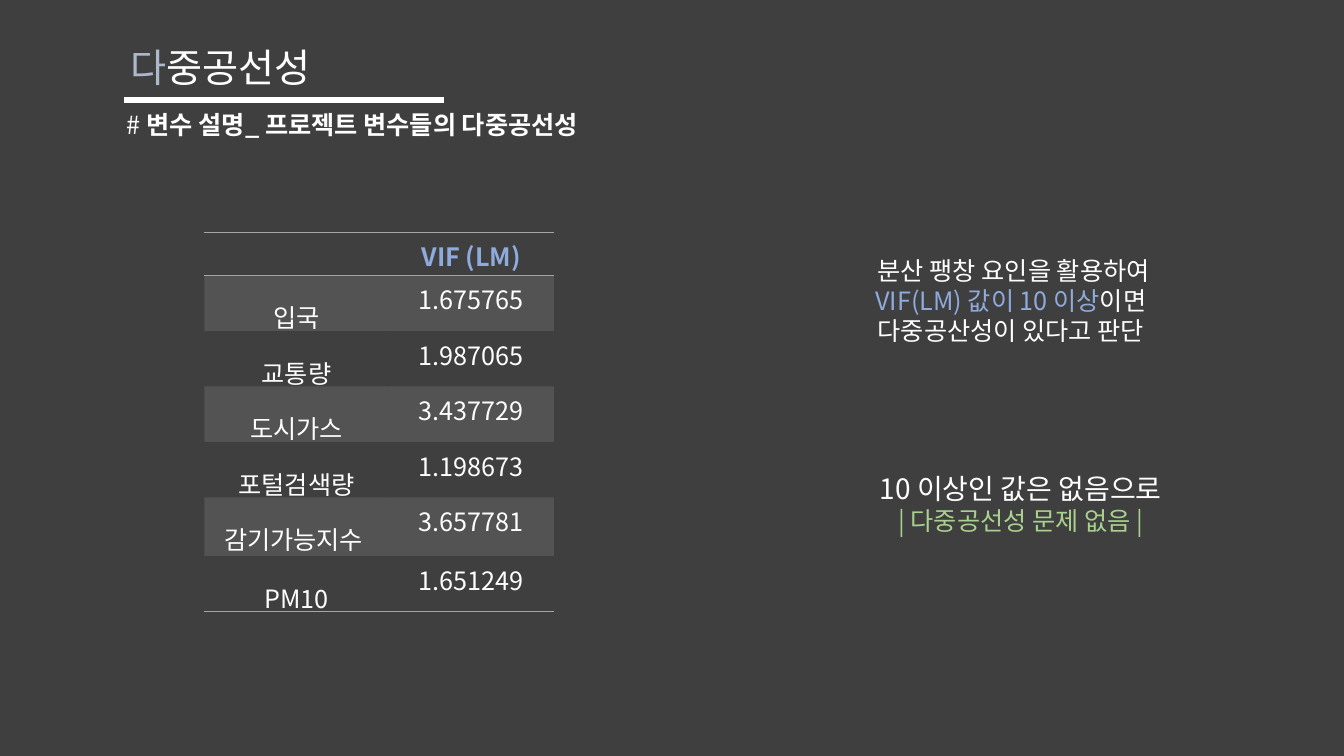
import dataclasses
import pptx
import pptx.dml.color
import pptx.enum.shapes
import pptx.enum.text
import pptx.oxml
import pptx.oxml.ns
import pptx.util

Cm = pptx.util.Cm
Pt = pptx.util.Pt
Align = pptx.enum.text.PP_ALIGN
qn = pptx.oxml.ns.qn


@dataclasses.dataclass(frozen=True)
class Theme:
    font: str = "Noto Sans CJK KR"
    back: str = "3F3F3F"
    white: str = "FFFFFF"
    pale: str = "ADB9CA"
    blue: str = "8FAADC"
    green: str = "A9D18E"
    gray: str = "A5A5A5"
    title: int = 28
    large: int = 20
    body: int = 18


theme = Theme()
NO_STYLE = "{2D5ABB26-0587-4C30-8999-92F81FD0307C}"


def rgb(color):
    return pptx.dml.color.RGBColor.from_string(color)


def element(tag, parent, **attrs):
    node = pptx.oxml.parse_xml(f"<{tag} {pptx.oxml.ns.nsdecls('a')}/>")
    for key, value in attrs.items():
        node.set(key, str(value))
    parent.append(node)
    return node


def add_run(para, text, color=theme.white, size=theme.body, bold=False):
    run = para.add_run()
    run.text = text
    font = run.font
    font.name = theme.font
    font.size = Pt(size)
    font.bold = bold
    font.color.rgb = rgb(color)
    element("a:ea", font._element, typeface=theme.font)


def add_text(slide, box, lines, align):
    shape = slide.shapes.add_textbox(*map(Cm, box))
    frame = shape.text_frame
    frame.word_wrap = True
    frame.auto_size = pptx.enum.text.MSO_AUTO_SIZE.SHAPE_TO_FIT_TEXT
    for row, runs in enumerate(lines):
        para = frame.add_paragraph() if row else frame.paragraphs[0]
        para.alignment = align
        for run in runs:
            add_run(para, *run)


def add_head(slide, box):
    left, top, width, height = box
    add_text(slide, (left + 0.1, top, 9.73, 1.45),
             [[("다", theme.pale, theme.title), ("중공선성", theme.white, theme.title)]],
             Align.JUSTIFY)
    level = Cm(top + 1.55)
    rule = slide.shapes.add_connector(
        pptx.enum.shapes.MSO_CONNECTOR.STRAIGHT,
        Cm(left + 0.18), level, Cm(left + 8.23), level)
    rule.line.color.rgb = rgb(theme.white)
    rule.line.width = Pt(3.75)
    element("a:effectLst", rule._element.spPr)
    add_text(slide, (left, top + 1.67, width, height - 1.67),
             [[("#",), (" 변수 설명_ 프로젝트 변수들의 다중공선성",
                        theme.white, theme.body, True)]],
             Align.LEFT)


def add_edge(cell, side, place):
    props = cell._tc.get_or_add_tcPr()
    line = element("a:ln" + side, props, w=Pt(1))
    fill = element("a:solidFill", line)
    element("a:srgbClr", fill, val=theme.gray)
    props.insert(place, line)


def shade(cell):
    cell.fill.solid()
    cell.fill.fore_color.rgb = rgb(theme.gray)
    color = cell._tc.tcPr.find(".//" + qn("a:srgbClr"))
    element("a:alpha", color, val=20000)


def add_grid(slide, box):
    rows = [
        ("", "VIF (LM)"),
        ("입국", "1.675765"),
        ("교통량", "1.987065"),
        ("도시가스", "3.437729"),
        ("포털검색량", "1.198673"),
        ("감기가능지수 ", "3.657781"),
        ("PM10", "1.651249"),
    ]
    tall = [1.09, 1.4, 1.4, 1.4, 1.4, 1.47, 1.4]
    table = slide.shapes.add_table(len(rows), 2, *map(Cm, box)).table
    table._tbl.tblPr.find(qn("a:tableStyleId")).text = NO_STYLE
    table.first_row = table.horz_banding = False
    for col, share in zip(table.columns, (0.527, 0.473)):
        col.width = Cm(round(box[2] * share, 2))
    for r, texts in enumerate(rows):
        table.rows[r].height = Cm(tall[r])
        for c, text in enumerate(texts):
            cell = table.cell(r, c)
            para = cell.text_frame.paragraphs[0]
            para.alignment = Align.CENTER
            if r and c == 0:
                para.line_spacing = 1.5
            if text:
                add_run(para, text, theme.white if r else theme.blue, bold=r == 0)
            if r % 2:
                shade(cell)
            else:
                cell.fill.background()
            edges = {0: "TB", len(rows) - 1: "B"}.get(r, "")
            for place, side in enumerate(edges):
                add_edge(cell, side, place)


def add_notes(slide, box):
    left, top, width, height = box
    add_text(slide, (left, top, width, 2.57), [
        [(" 분산 팽창 요인을 활용하여 ",)],
        [("VIF(LM) 값이 10 이상", theme.blue), ("이면 ",)],
        [("다중공산성이 있다고 판단 ",)],
    ], Align.CENTER)
    add_text(slide, (left + 0.56, top + height - 1.88, width - 0.76, 1.88), [
        [("10 이상인 값은 없음으로", theme.white, theme.large)],
        [("| 다중공선성 문제 없음 |", theme.green)],
    ], Align.CENTER)


def main():
    deck = pptx.Presentation()
    deck.slide_width = Cm(33.87)
    deck.slide_height = Cm(19.05)
    slide = deck.slides.add_slide(deck.slide_layouts[6])
    slide.background.fill.solid()
    slide.background.fill.fore_color.rgb = rgb(theme.back)
    add_head(slide, (2.95, 0.97, 14.81, 2.69))
    add_grid(slide, (5.15, 5.85, 8.81, 9.56))
    add_notes(slide, (20.45, 6.3, 10.19, 7.34))
    deck.save("out.pptx")


if __name__ == "__main__":
    main()
